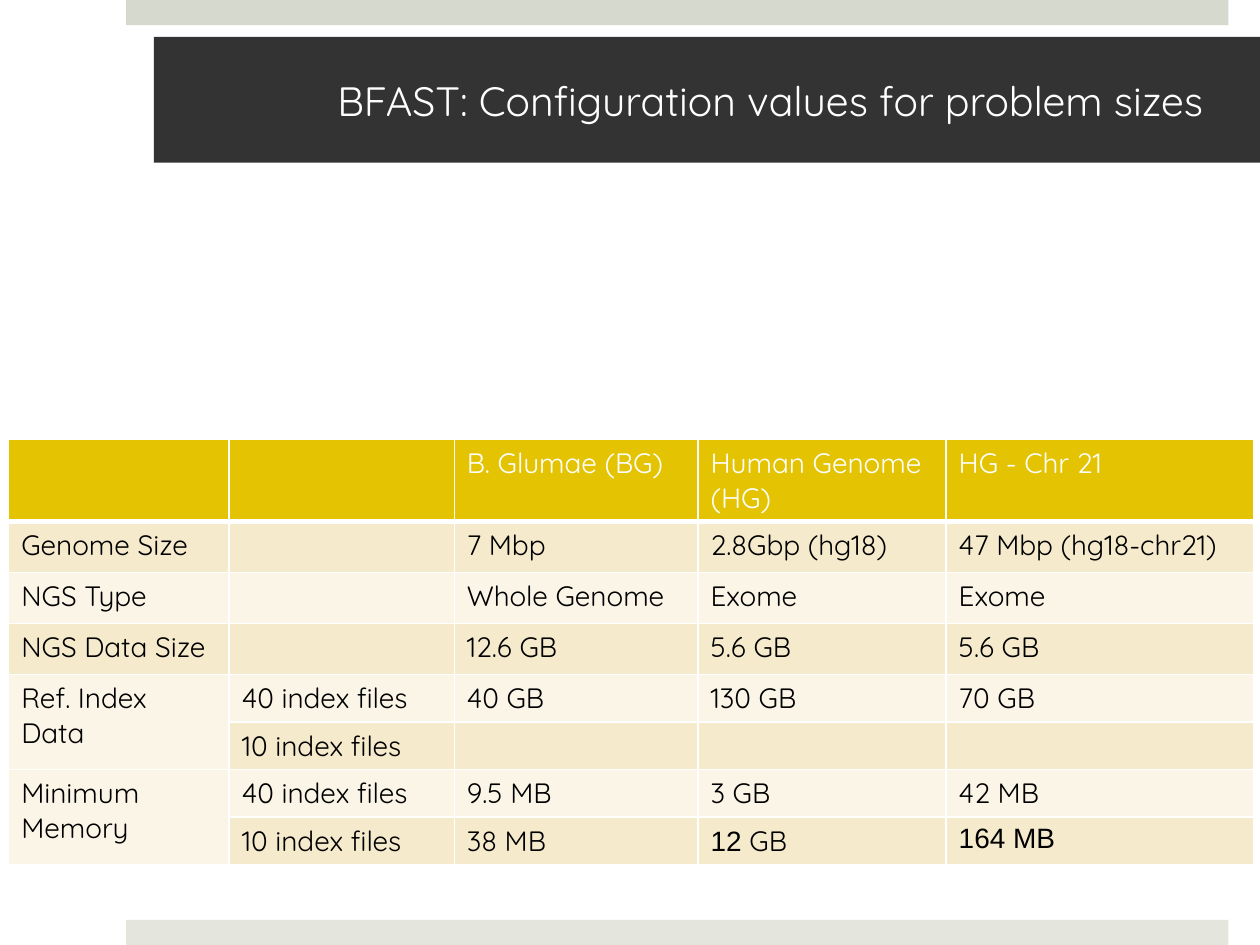
from lxml.etree import SubElement as Sub
from pptx import Presentation
from pptx.dml.color import RGBColor
from pptx.enum.shapes import MSO_SHAPE as Kind
from pptx.enum.text import MSO_ANCHOR as Anchor, MSO_AUTO_SIZE as Auto, PP_ALIGN as Align
from pptx.oxml.ns import qn
from pptx.util import Pt

FONT = "Quicksand"
WIDTHS = (126, 128.6, 139.3, 141.8, 175.5)
HEIGHTS = (31, 29.2, 29.2, 29.2, 23, 23, 23, 23)
ROWS = (
    ("", "", "B. Glumae (BG)", "Human Genome (HG)", "HG - Chr 21"),
    ("Genome Size", "", "7 Mbp", "2.8Gbp (hg18)", "47 Mbp (hg18-chr21)"),
    ("NGS Type", "", "Whole Genome", "Exome", "Exome"),
    ("NGS Data Size", "", "12.6 GB", "5.6 GB", "5.6 GB"),
    ("Ref. Index Data", "40 index files", "40 GB", "130 GB", "70 GB"),
    ("", "10 index files", "", "", ""),
    ("Minimum Memory", "40 index files", "9.5 MB", "3 GB", "42 MB"),
    ("", "10 index files", "38 MB",
     (("12 ", "Arial"), ("GB", FONT)), (("164 ΜΒ", "Arial"),)),
)


def paint(fill, tone):
    """Make a fill solid in a hex colour."""
    fill.solid()
    fill.fore_color.rgb = RGBColor.from_string(tone)


def add_run(para, text, size, tone, font=FONT):
    """Append one styled run to a paragraph."""
    run = para.add_run()
    run.text = text
    run.font.name = font
    run.font.size = Pt(size)
    run.font.bold = False
    run.font.color.rgb = RGBColor.from_string(tone)


def add_bar(slide, top, tone):
    """Add a plain band across the slide edge."""
    bar = slide.shapes.add_shape(Kind.RECTANGLE, Pt(72), Pt(top), Pt(630), Pt(14.4))
    bar.shadow.inherit = False
    paint(bar.fill, tone)
    bar.line.fill.background()


def set_title(slide, text):
    """Place and fill the title block."""
    title = slide.shapes.title
    title.left, title.top, title.width, title.height = Pt(88), Pt(21), Pt(632), Pt(72)
    paint(title.fill, "333333")
    frame = title.text_frame
    frame.word_wrap = True
    frame.auto_size = Auto.NONE
    frame.vertical_anchor = Anchor.MIDDLE
    frame.margin_left, frame.margin_right = Pt(93.6), Pt(21.6)
    frame.margin_top = frame.margin_bottom = Pt(3.6)
    para = frame.paragraphs[0]
    para.alignment = Align.CENTER
    add_run(para, text, 23.4, "FFFFFF")


def add_edges(cell, base):
    """Draw white cell borders, with a given bottom width."""
    props = cell._tc.get_or_add_tcPr()
    for side, width in (("L", 1), ("R", 1), ("T", 1), ("B", base)):
        line = Sub(props, qn(f"a:ln{side}"), w=str(Pt(width)))
        Sub(Sub(line, qn("a:solidFill")), qn("a:srgbClr"), val="FFFFFF")


def fill_cell(cell, text, head, tone):
    """Style one table cell and write its runs."""
    add_edges(cell, 3 if head else 1)
    paint(cell.fill, tone)
    para = cell.text_frame.paragraphs[0]
    runs = ((text, FONT),) if isinstance(text, str) else text
    for part, font in runs:
        if part:
            add_run(para, part, 16, "FFFFFF" if head else "000000", font)
    Sub(para._p, qn("a:endParaRPr"), sz="1600")


def add_grid(slide):
    """Add the table of configuration values."""
    shape = slide.shapes.add_table(len(ROWS), len(WIDTHS), Pt(5), Pt(250.8),
                                   Pt(sum(WIDTHS)), Pt(sum(HEIGHTS)))
    grid = shape.table
    for col, width in zip(grid.columns, WIDTHS):
        col.width = Pt(width)
    for row, height in zip(grid.rows, HEIGHTS):
        row.height = Pt(height)
    for r, texts in enumerate(ROWS):
        tone = "E4C402" if r == 0 else "F5EACC" if r % 2 else "FAF5E7"
        for c, text in enumerate(texts):
            fill_cell(grid.cell(r, c), text, r == 0, tone)
    for r in (4, 6):
        grid.cell(r, 0).merge(grid.cell(r + 1, 0))


def main():
    """Build and save the slide."""
    deck = Presentation()
    deck.slide_width, deck.slide_height = Pt(720), Pt(540)
    slide = deck.slides.add_slide(deck.slide_layouts[5])
    add_bar(slide, 0, "D6D9CD")
    add_bar(slide, 525.6, "E4E6DE")
    add_grid(slide)
    set_title(slide, "BFAST: Configuration values for problem sizes")
    deck.save("out.pptx")


if __name__ == "__main__":
    main()
